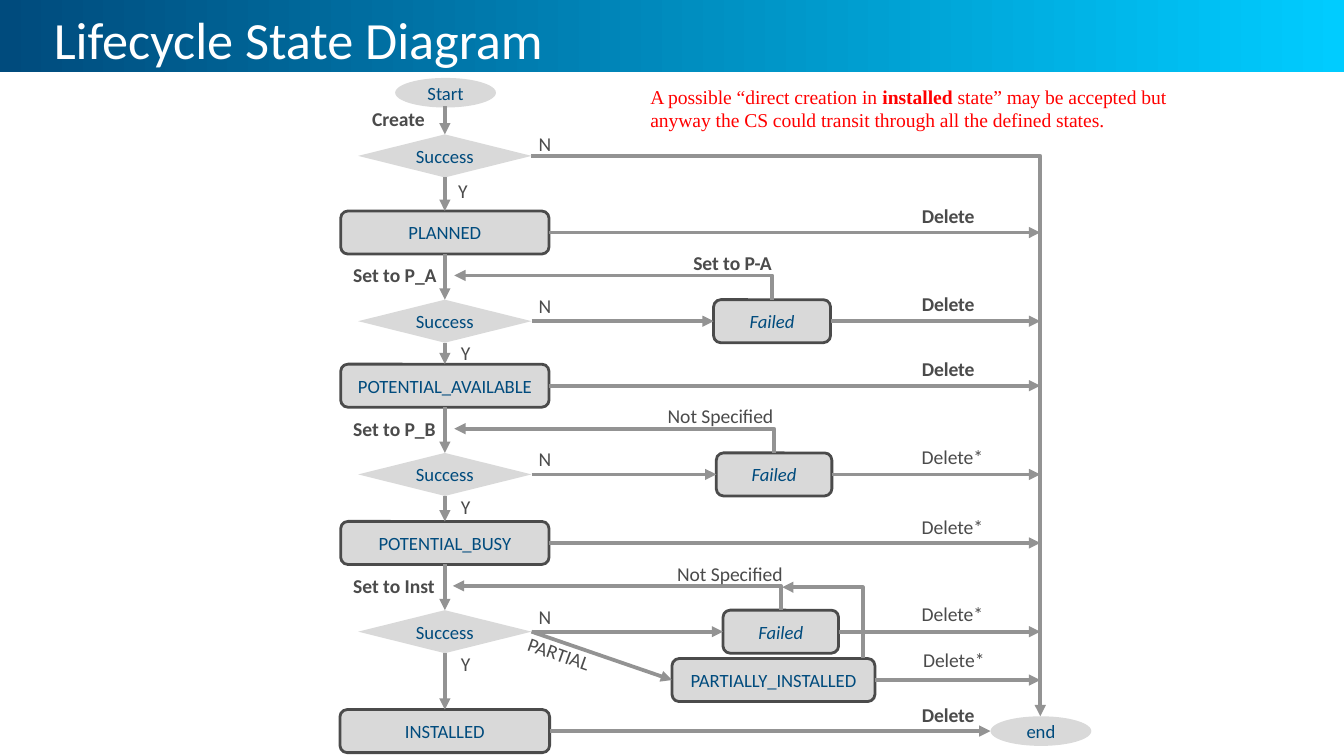
from lxml import etree
from pptx import Presentation
from pptx import util as u
from pptx.dml.color import RGBColor
from pptx.enum import shapes, text
from pptx.oxml import ns

COLORS = {
    "navy": "004B7D", "cyan": "00CCFF", "white": "FFFFFF", "fill": "D9D9D9",
    "dark": "4B4B4B", "arrow": "939393", "note": "FF0000",
}
CENTER = 3.31      # middle of the main flow
TRUNK = 7.74       # vertical line that leads to "end"
ROW = 0.32         # height of states and decisions
DELETE_LEFT = 6.76
TOP, LEFT, BOTTOM, RIGHT = range(4)

# decision top, state top, state name, state width, action, delete label, delete bold
STAGES = [
    (1.00, 1.57, "PLANNED", 1.55, "Create", "Delete", True),
    (2.23, 2.71, "POTENTIAL_AVAILABLE", 1.55, "Set to P_A", "Delete", True),
    (3.37, 3.88, "POTENTIAL_BUSY", 1.55, "Set to P_B", "Delete*", False),
    (4.54, 5.28, "INSTALLED", 1.56, "Set to Inst", "Delete", True),
]
# left, width, return label, its left and width, return end, delete label, bold
FAILURES = [
    (5.31, 0.87, "Set to P-A", 5.06, 0.82, 3.38, "Delete", True),
    (5.33, 0.86, "Not Specified", 4.87, 1.00, 3.38, "Delete*", False),
    (5.38, 0.86, "Not Specified", 4.94, 1.00, 3.37, "Delete*", False),
]
# left, top, width of the action labels
ACTION_BOXES = [(2.67, 0.75, 0.62), (2.53, 1.91, 0.85),
                (2.53, 3.05, 0.84), (2.53, 4.22, 0.83)]


def color(name):
    return RGBColor.from_string(COLORS[name])


def inches(*values):
    return [u.Inches(value) for value in values]


def add_run(paragraph, words, size, color_name, font="Calibri", bold=False, italic=False):
    run = paragraph.add_run()
    run.text = words
    run.font.name, run.font.size = font, u.Pt(size)
    run.font.bold, run.font.italic = bold, italic
    run.font.color.rgb = color(color_name)


def add_banner(slide):
    banner = slide.shapes.add_shape(shapes.MSO_SHAPE.RECTANGLE, *inches(0, 0, 10, 0.54))
    banner.shadow.inherit = False
    banner.line.fill.background()
    banner.fill.gradient()
    banner.fill.gradient_angle = 0
    for stop, position, name in zip(banner.fill.gradient_stops, (0, 1), ("navy", "cyan")):
        stop.position = position
        stop.color.rgb = color(name)
    # keep the banner behind the title
    slide.shapes.element.insert(2, banner.element)


def fill_title(slide, words):
    title = slide.shapes.title
    title.left, title.top, title.width, title.height = inches(0.3, 0, 9.49, 0.58)
    frame = title.text_frame
    frame.auto_size = text.MSO_AUTO_SIZE.NONE
    frame.vertical_anchor = text.MSO_ANCHOR.TOP
    paragraph = frame.paragraphs[0]
    paragraph.alignment = text.PP_ALIGN.LEFT
    paragraph.line_spacing = u.Pt(34)
    add_run(paragraph, words, 28, "white")


def add_node(slide, kind, left, top, width, height, words, outlined=False, italic=False):
    node = slide.shapes.add_shape(kind, *inches(left, top, width, height))
    node.shadow.inherit = False
    node.fill.solid()
    node.fill.fore_color.rgb = color("fill")
    if outlined:
        node.line.color.rgb = color("dark")
        node.line.width = u.Pt(1.5)
    else:
        node.line.fill.background()
    frame = node.text_frame
    frame.word_wrap = False
    frame.margin_left = frame.margin_right = frame.margin_top = frame.margin_bottom = 0
    frame.vertical_anchor = text.MSO_ANCHOR.MIDDLE
    frame.paragraphs[0].alignment = text.PP_ALIGN.CENTER
    add_run(frame.paragraphs[0], words, 10, "navy", italic=italic)
    return node


def add_state(slide, left, top, width, words, italic=False):
    return add_node(slide, shapes.MSO_SHAPE.ROUNDED_RECTANGLE, left, top, width, ROW,
                    words, outlined=True, italic=italic)


def add_label(slide, left, top, width, words, bold=False, rotation=0):
    label = slide.shapes.add_textbox(*inches(left, top, width, 0.29))
    label.rotation = rotation
    label.text_frame.word_wrap = False
    label.text_frame.auto_size = text.MSO_AUTO_SIZE.SHAPE_TO_FIT_TEXT
    add_run(label.text_frame.paragraphs[0], words, 10.5, "dark", bold=bold)


def add_delete(slide, top, words, bold, left=DELETE_LEFT):
    add_label(slide, left, top, 0.61 if bold else 0.67, words, bold)


def add_note(slide):
    note = slide.shapes.add_textbox(*inches(4.74, 0.58, 4.04, 0.45))
    note.text_frame.word_wrap = True
    paragraph = note.text_frame.paragraphs[0]
    paragraph.space_after = u.Pt(8)
    for words, bold in (
        ("A possible “direct creation in ", False),
        ("installed", True),
        (" state” may be accepted but anyway the CS could transit"
         " through all the defined states.", False),
    ):
        add_run(paragraph, words, 10.5, "note", "Times New Roman", bold)


def style_arrow(connector):
    connector.line.color.rgb = color("arrow")
    connector.line.width = u.Pt(2)
    line = connector.line._get_or_add_ln()
    etree.SubElement(line, ns.qn("a:tailEnd"), type="triangle")
    etree.SubElement(connector.element.spPr, ns.qn("a:effectLst"))


def add_arrow(slide, start, end, source=None, target=None):
    """Straight arrow; source and target are (shape, side) pairs to join."""
    connector = slide.shapes.add_connector(
        shapes.MSO_CONNECTOR.STRAIGHT, *inches(*start, *end))
    if source:
        connector.begin_connect(*source)
    if target:
        connector.end_connect(*target)
    style_arrow(connector)


def add_elbow(slide, start, end):
    """One-bend arrow: upward ones leave vertically, downward ones horizontally."""
    (x1, y1), (x2, y2) = start, end
    rising = y2 < y1
    if rising:
        middle_x, middle_y = (x1 + x2) / 2, (y1 + y2) / 2
        half_width, half_height = (y1 - y2) / 2, (x1 - x2) / 2
        x1, x2 = middle_x - half_width, middle_x + half_width
        y1, y2 = middle_y + half_height, middle_y - half_height
    connector = slide.shapes.add_connector(
        shapes.MSO_CONNECTOR.ELBOW, *inches(x1, y1, x2, y2))
    properties = connector.element.spPr
    properties.find(ns.qn("a:prstGeom")).set("prst", "bentConnector2")
    if rising:
        properties.find(ns.qn("a:xfrm")).set("rot", str(270 * 60000))
    style_arrow(connector)


def add_stages(slide):
    """Draw the main flow and return its decisions."""
    decisions, previous = [], None
    for stage, action_box in zip(STAGES, ACTION_BOXES):
        top, state_top, name, width, action, delete, bold = stage
        decision = add_node(slide, shapes.MSO_SHAPE.FLOWCHART_DECISION,
                            CENTER - 1.29 / 2, top, 1.29, ROW, "Success")
        state = add_state(slide, CENTER - width / 2, state_top, width, name)
        add_arrow(slide, (CENTER, 0.79), (CENTER, top),
                  (previous, BOTTOM) if previous else None, (decision, TOP))
        add_arrow(slide, (CENTER, top + ROW), (CENTER, state_top),
                  (decision, BOTTOM), (state, TOP))
        exit_y = state_top + ROW / 2
        exit_x = 7.37 if name == "INSTALLED" else TRUNK
        add_arrow(slide, (CENTER + width / 2, exit_y), (exit_x, exit_y), (state, RIGHT))
        add_label(slide, *action_box, action, bold=True)
        yes_left, yes_drop, no_rise = (3.33, 0.26, 0.09) if previous else (3.31, 0.28, 0.07)
        add_label(slide, yes_left, top + yes_drop, 0.28, "Y")
        add_label(slide, 3.91, top - no_rise, 0.3, "N")
        add_delete(slide, state_top - 0.1, delete, bold)
        decisions.append(decision)
        previous = state
    return decisions


def add_failures(slide, decisions):
    for stage, decision, failure in zip(STAGES[1:], decisions[1:], FAILURES):
        left, width, back, back_left, back_width, back_end, delete, bold = failure
        top = stage[0]
        middle = top + ROW / 2
        failed = add_state(slide, left, top, width, "Failed", italic=True)
        add_arrow(slide, (3.95, middle), (left, middle), (decision, RIGHT), (failed, LEFT))
        add_arrow(slide, (left + width, middle), (TRUNK, middle), (failed, RIGHT))
        add_elbow(slide, (left + width / 2, top), (back_end, top - 0.18))
        add_label(slide, back_left, top - 0.41, back_width, back, bold)
        add_delete(slide, top - 0.11, delete, bold)


def add_partial(slide, decision):
    partial = add_state(slide, 5, 4.9, 1.51, "PARTIALLY_INSTALLED")
    add_arrow(slide, (3.95, 4.7), (5, 5.06), (decision, RIGHT), (partial, LEFT))
    add_arrow(slide, (6.51, 5.06), (TRUNK, 5.06), (partial, RIGHT))
    add_elbow(slide, (6.42, 4.9), (5.82, 4.37))
    add_label(slide, 3.82, 4.73, 0.7, "PARTIAL", rotation=19.5)
    add_delete(slide, 4.77, "Delete*", False, left=6.77)


def main():
    presentation = Presentation()
    # 16:9 page
    presentation.slide_width = u.Inches(10)
    presentation.slide_height = u.Inches(10 * 9 / 16)
    slide = presentation.slides.add_slide(presentation.slide_layouts[5])

    # Heading and remark
    add_banner(slide)
    fill_title(slide, "Lifecycle State Diagram")
    add_note(slide)

    # Start, end and the trunk between them
    for left, top, words in ((2.94, 0.58, "Start"), (7.37, 5.33, "end")):
        add_node(slide, shapes.MSO_SHAPE.OVAL, left, top, 0.75, 0.22, words)
    add_elbow(slide, (3.95, 1.16), (TRUNK, 5.33))

    # States, failures and the partial installation
    decisions = add_stages(slide)
    add_failures(slide, decisions)
    add_partial(slide, decisions[-1])

    presentation.save("out.pptx")


if __name__ == "__main__":
    main()
